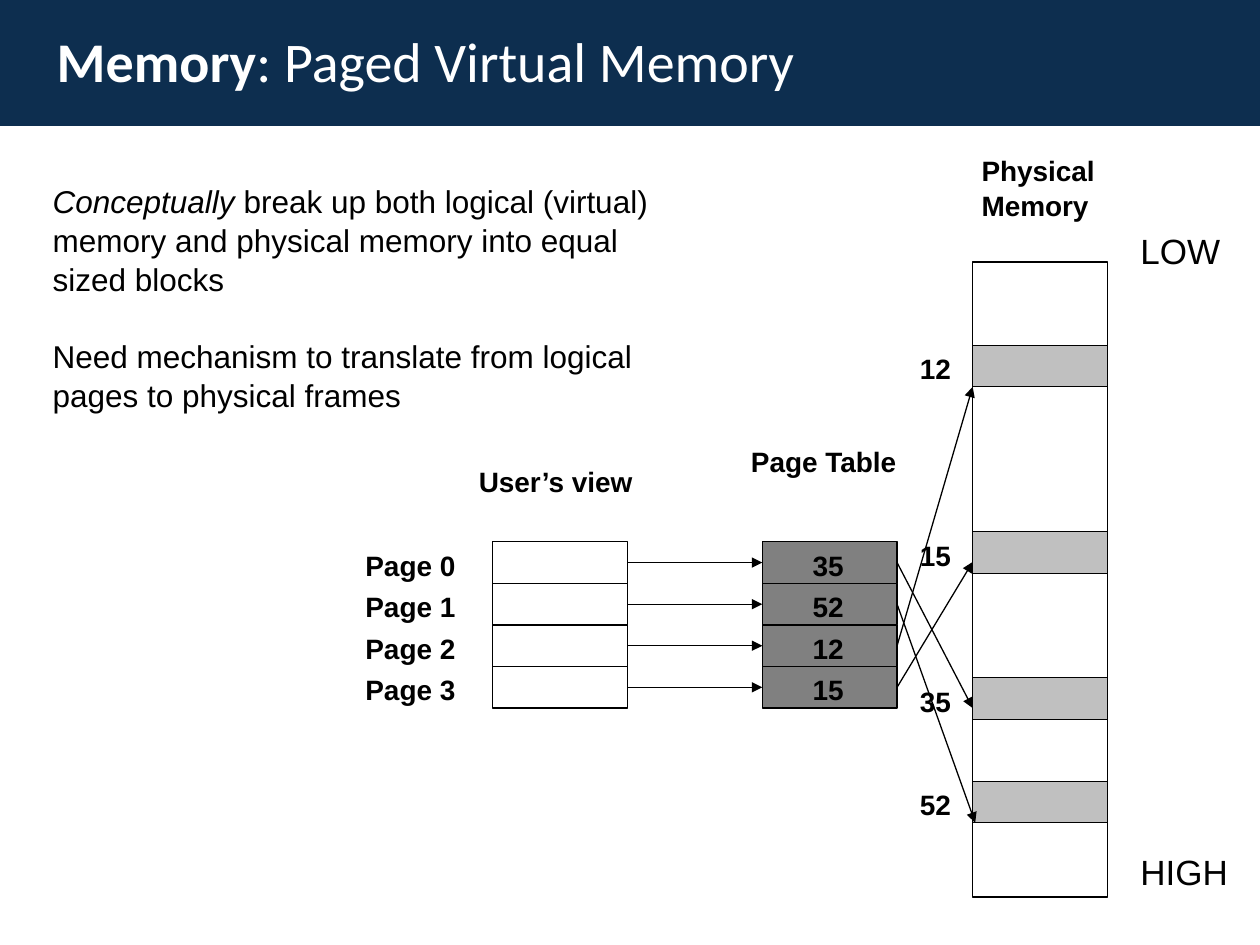
from pptx import Presentation, util as u
from pptx.dml.color import RGBColor
from pptx.enum import shapes, text
from pptx.oxml import ns
from lxml import etree

NAVY = RGBColor(0x0D, 0x2E, 0x4F)
WHITE = RGBColor(0xFF, 0xFF, 0xFF)
BLACK = RGBColor(0, 0, 0)
DARK_GRAY = RGBColor(0x80, 0x80, 0x80)
LIGHT_GRAY = RGBColor(0xC0, 0xC0, 0xC0)

CELL_WIDTH, CELL_HEIGHT = 1.07, 0.33
PAGES_LEFT, TABLE_LEFT, MEMORY_LEFT = 3.91, 6.05, 7.72
ROWS_TOP = 4.3
PAGE_TABLE = [35, 52, 12, 15]
FRAME_TOPS = {12: 2.74, 15: 4.22, 35: 5.38, 52: 6.2}
ARROW_ENDS = {12: (7.72, 3.07), 15: (7.72, 4.46), 35: (7.72, 5.62), 52: (7.74, 6.53)}


class SlideBuilder:
    heading_font = "Calibri"
    body_font = "Arial"
    line_width = u.Pt(0.75)

    def __init__(self, slide):
        self.slide = slide

    def style(self, font, name, size, color, bold=False):
        font.name, font.size, font.bold = name, u.Pt(size), bold
        font.color.rgb = color

    def title(self, lead, rest, left, top, width, height):
        title = self.slide.shapes.title
        title.left, title.top = u.Inches(left), u.Inches(top)
        title.width, title.height = u.Inches(width), u.Inches(height)
        frame = title.text_frame
        frame.vertical_anchor = text.MSO_ANCHOR.MIDDLE
        paragraph = frame.paragraphs[0]
        paragraph.alignment = text.PP_ALIGN.LEFT
        for words, bold in ((lead, True), (rest, False)):
            run = paragraph.add_run()
            run.text = words
            self.style(run.font, self.heading_font, 32, WHITE, bold)

    def rect(self, left, top, width, height, fill=None, outlined=True):
        rect = self.slide.shapes.add_shape(
            shapes.MSO_SHAPE.RECTANGLE,
            u.Inches(left), u.Inches(top), u.Inches(width), u.Inches(height))
        rect.shadow.inherit = False
        if fill is None:
            rect.fill.background()
        else:
            rect.fill.solid()
            rect.fill.fore_color.rgb = fill
        if outlined:
            rect.line.color.rgb = BLACK
            rect.line.width = self.line_width
        else:
            rect.line.fill.background()
        return rect

    def label(self, words, left, top, width, height=0.33, size=16, bold=True,
              inset=(0.07, 0.04)):
        box = self.slide.shapes.add_textbox(
            u.Inches(left), u.Inches(top), u.Inches(width), u.Inches(height))
        frame = box.text_frame
        frame.word_wrap = True
        frame.margin_left = frame.margin_right = u.Inches(inset[0])
        frame.margin_top = frame.margin_bottom = u.Inches(inset[1])
        frame.text = words
        for paragraph in frame.paragraphs:
            paragraph.line_spacing = 1.04
            for run in paragraph.runs:
                self.style(run.font, self.body_font, size, BLACK, bold)
        return frame

    def arrow(self, source, end, target=None):
        arrow = self.slide.shapes.add_connector(
            shapes.MSO_CONNECTOR.STRAIGHT, 0, 0, u.Inches(end[0]), u.Inches(end[1]))
        arrow.begin_connect(source, 3)
        if target is not None:
            arrow.end_connect(target, 1)
        arrow.line.color.rgb = BLACK
        arrow.line.width = self.line_width
        properties = arrow._element.spPr
        line = properties.find(ns.qn("a:ln"))
        etree.SubElement(line, ns.qn("a:tailEnd"), type="triangle")
        etree.SubElement(properties, ns.qn("a:effectLst"))


def main():
    deck = Presentation()
    deck.slide_width, deck.slide_height = u.Inches(10), u.Inches(7.5)
    slide = deck.slides.add_slide(deck.slide_layouts[5])
    builder = SlideBuilder(slide)

    banner = builder.rect(0, 0, 10, 1, NAVY, outlined=False)
    slide.shapes.title._element.addprevious(banner._element)
    builder.title("Memory", ": Paged Virtual Memory", 0.35, 0.13, 6.98, 0.7)

    for top in FRAME_TOPS.values():
        builder.rect(MEMORY_LEFT, top, CELL_WIDTH, CELL_HEIGHT, LIGHT_GRAY)
    builder.rect(MEMORY_LEFT, 2.08, CELL_WIDTH, 5.04)

    for page, frame_number in enumerate(PAGE_TABLE):
        top = ROWS_TOP + page * CELL_HEIGHT
        page_cell = builder.rect(PAGES_LEFT, top, CELL_WIDTH, CELL_HEIGHT)
        entry = builder.rect(TABLE_LEFT, top, CELL_WIDTH, CELL_HEIGHT, DARK_GRAY)
        builder.label(f"Page {page}", 2.83, top, 0.95)
        builder.label(str(frame_number), 6.38, top, 0.55)
        builder.arrow(page_cell, (TABLE_LEFT, top), entry)
        builder.arrow(entry, ARROW_ENDS[frame_number])

    for frame_number, top in FRAME_TOPS.items():
        builder.label(str(frame_number), 7.23, top, 0.51)

    builder.label("User’s view", 3.73, 3.64, 1.42)
    builder.label("Page Table", 5.89, 3.48, 1.33)
    builder.label("Physical\nMemory", 7.72, 1.17, 1.4, 0.58)
    builder.label("LOW", 8.98, 1.77, 0.82, 0.41, size=20, bold=False)
    builder.label("HIGH", 8.98, 6.7, 0.88, 0.41, size=20, bold=False)

    summary = builder.label(
        "\nNeed mechanism to translate from logical pages to physical frames",
        0.32, 1.38, 5, 2.2, size=18, bold=False, inset=(0.1, 0.05))
    concept, mechanism = summary.paragraphs
    mechanism.space_before = u.Pt(21.5)
    for words, italic in (
            ("Conceptually", True),
            (" break up both logical (virtual) memory and physical memory"
             " into equal sized blocks", False)):
        run = concept.add_run()
        run.text = words
        builder.style(run.font, builder.body_font, 18, BLACK)
        run.font.italic = italic

    deck.save("out.pptx")


if __name__ == "__main__":
    main()
